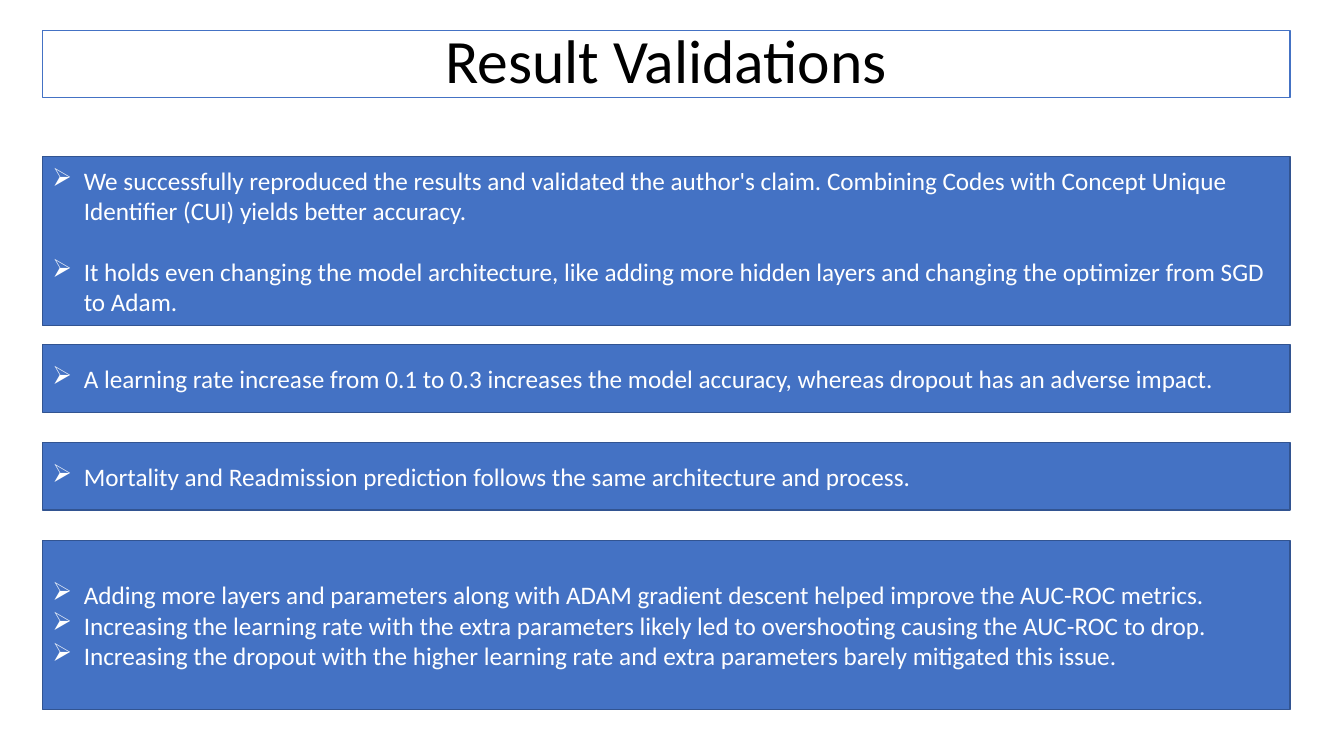
from lxml import etree
from pptx import Presentation
from pptx.dml.color import RGBColor
from pptx.enum.shapes import MSO_SHAPE
from pptx.enum.text import MSO_ANCHOR, PP_ALIGN
from pptx.oxml.ns import qn
from pptx.util import Pt

RECTANGLE = MSO_SHAPE.RECTANGLE
MIDDLE = MSO_ANCHOR.MIDDLE
LEFT, CENTER = PP_ALIGN.LEFT, PP_ALIGN.CENTER

FONT = "Calibri"
WHITE, BLACK, BLUE, DARK_BLUE = "FFFFFF", "000000", "4472C4", "325491"
MARGIN, BAND_WIDTH = 30.24, 891.36
LOW, TALL = 48.24, 120.96
BULLET_INDENT = 22.5

# top, height, space between paragraphs, findings
FINDING_BANDS = [
    (111.6, TALL, 22, [
        "We successfully reproduced the results and validated the author's claim. "
        "Combining Codes with Concept Unique Identifier (CUI) yields better accuracy.",
        "It holds even changing the model architecture, like adding more hidden layers "
        "and changing the optimizer from SGD to Adam.",
    ]),
    (246.24, LOW, 0, [
        "A learning rate increase from 0.1 to 0.3 increases the model accuracy, "
        "whereas dropout has an adverse impact.",
    ]),
    (316.08, LOW, 0, [
        "Mortality and Readmission prediction follows the same architecture and process.",
    ]),
    (385.92, TALL, 0, [
        "Adding more layers and parameters along with ADAM gradient descent "
        "helped improve the AUC-ROC metrics.",
        "Increasing the learning rate with the extra parameters likely led to "
        "overshooting causing the AUC-ROC to drop.",
        "Increasing the dropout with the higher learning rate and extra parameters "
        "barely mitigated this issue.",
    ]),
]


def rgb(value):
    return RGBColor.from_string(value)


def add_band(top, height, fill, line, texts, size, color, align):
    """Add a full-width box with one paragraph per text and return its paragraphs."""
    band = slide.shapes.add_shape(
        RECTANGLE, Pt(MARGIN), Pt(top), Pt(BAND_WIDTH), Pt(height))
    band.shadow.inherit = False
    band.fill.solid()
    band.fill.fore_color.rgb = rgb(fill)
    band.line.color.rgb = rgb(line)
    band.line.width = Pt(1)
    frame = band.text_frame
    frame.word_wrap = True
    frame.vertical_anchor = MIDDLE
    for index, text in enumerate(texts):
        paragraph = frame.add_paragraph() if index else frame.paragraphs[0]
        paragraph.alignment = align
        run = paragraph.add_run()
        run.text = text
        run.font.name = FONT
        run.font.size = Pt(size)
        run.font.color.rgb = rgb(color)
    return frame.paragraphs


presentation = Presentation()
presentation.slide_width, presentation.slide_height = Pt(960), Pt(540)
slide = presentation.slides.add_slide(presentation.slide_layouts[6])

title = add_band(21.6, LOW, WHITE, BLUE, ["Result Validations"], 44, BLACK, CENTER)
title[0].line_spacing = 0.9

for top, height, gap, findings in FINDING_BANDS:
    paragraphs = add_band(top, height, BLUE, DARK_BLUE, findings, 18, WHITE, LEFT)
    for index, paragraph in enumerate(paragraphs):
        if index and gap:
            paragraph.space_before = Pt(gap)
        properties = paragraph._p.get_or_add_pPr()
        properties.set("marL", str(Pt(BULLET_INDENT)))
        properties.set("indent", str(-Pt(BULLET_INDENT)))
        etree.SubElement(properties, qn("a:buChar")).set("char", "➢")

presentation.save("out.pptx")
